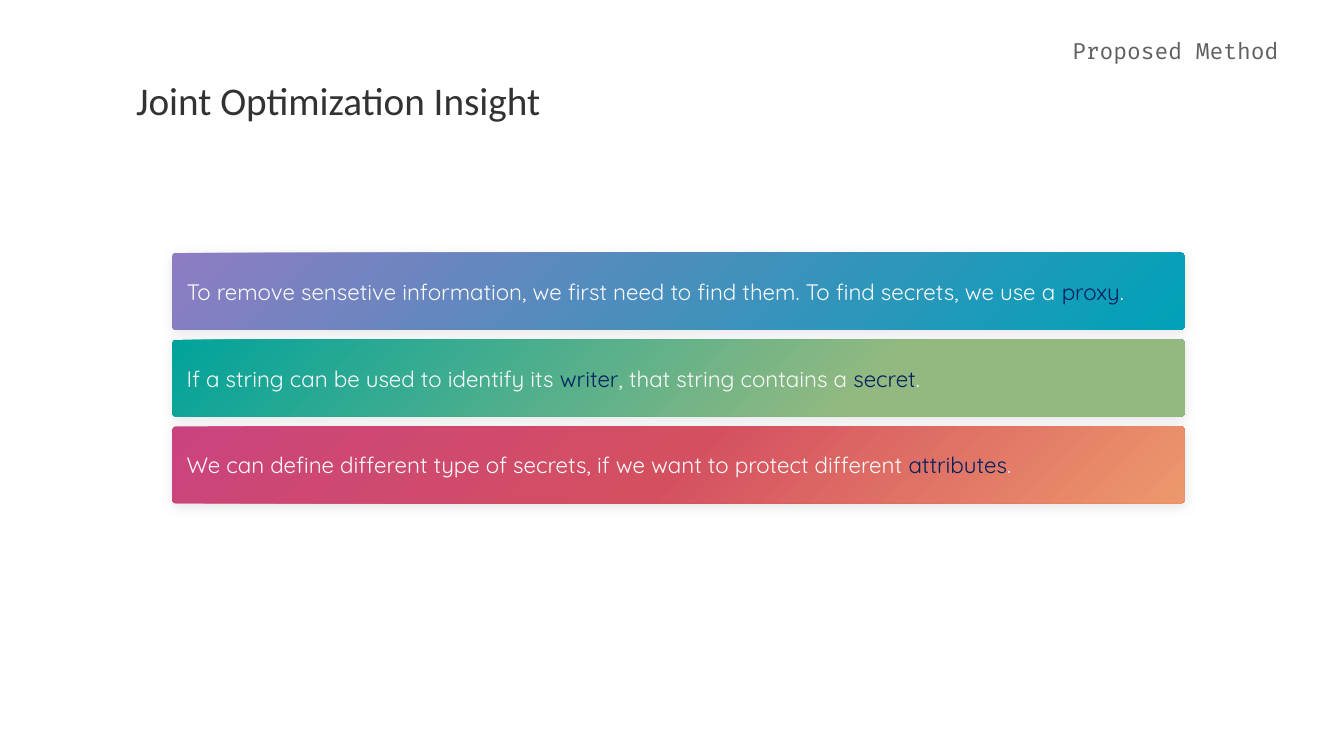
"""Build the Joint Optimization Insight slide with three gradient statement bars."""
from dataclasses import dataclass

import pptx
import pptx.dml.color
import pptx.enum.shapes
import pptx.enum.text
import pptx.oxml
import pptx.oxml.ns
import pptx.util
from pptx.util import Pt

MSO_ANCHOR = pptx.enum.text.MSO_ANCHOR
PP_ALIGN = pptx.enum.text.PP_ALIGN
qn = pptx.oxml.ns.qn
NS = pptx.oxml.ns.nsdecls("a")


@dataclass(frozen=True)
class Theme:
    title_font: str = "Calibri"
    section_font: str = "Fira Code"
    body_font: str = "Quicksand"
    title_size: int = 28
    body_size: int = 16
    title: str = "323232"
    section: str = "606060"
    body: str = "FAFAFA"
    key: str = "002060"
    shadow: str = "000000"
    violet: tuple = ((0, "8E7CC3"), (100, "00A2B7"))
    green: tuple = ((0, "00A39B"), (69, "94B980"), (100, "94B980"))
    red: tuple = ((0, "CA437E"), (50, "D45060"), (100, "ED986C"))


THEME = Theme()
BAR_LEFT, BAR_TOP, BAR_WIDTH, BAR_HEIGHT, BAR_PITCH = 123, 180.6, 723, 54.9, 62

BARS = [
    (THEME.violet, ["To remove sensetive information, we first need to find them. "
                    "To find secrets, we use a ", "proxy", "."]),
    (THEME.green, ["If a string can be used to identify its ", "writer",
                   ", that string contains a ", "secret", "."]),
    (THEME.red, ["We can define different type of secrets, if we want to protect different ",
                 "attributes", "."]),
]


def add_run(p, text, *, font, size, color):
    r = p.add_run()
    r.text = text
    r.font.name = font
    r.font.size = Pt(size)
    r.font.bold = False
    r.font.color.rgb = pptx.dml.color.RGBColor.from_string(color)


def set_frame(tf, *, margin=0, anchor=MSO_ANCHOR.TOP):
    tf.word_wrap = True
    tf.auto_size = pptx.enum.text.MSO_AUTO_SIZE.NONE
    tf.vertical_anchor = anchor
    tf.margin_left = tf.margin_right = tf.margin_top = tf.margin_bottom = Pt(margin)


def fill_placeholder(sp, text, box, *, align=PP_ALIGN.LEFT, spacing=1.0, **fmt):
    sp.left, sp.top, sp.width, sp.height = (Pt(v) for v in box)
    set_frame(sp.text_frame)
    p = sp.text_frame.paragraphs[0]
    p.alignment = align
    p.line_spacing = spacing
    p.space_before = Pt(0)
    add_run(p, text, **fmt)


def set_gradient(sp, stops):
    sp.fill.gradient()
    sp.fill.gradient_angle = 315
    gs_list = next(sp._element.spPr.iter(qn("a:gsLst")))
    for gs in list(gs_list):
        gs_list.remove(gs)
    for pos, color in stops:
        gs_list.append(pptx.oxml.parse_xml(
            f'<a:gs {NS} pos="{pos * 1000}"><a:srgbClr val="{color}"/></a:gs>'))


def set_shadow(sp):
    sp.shadow.inherit = False
    sp._element.spPr.find(qn("a:effectLst")).append(pptx.oxml.parse_xml(
        f'<a:outerShdw {NS} blurRad="{Pt(9)}" dist="{Pt(1.5)}" dir="5400000" '
        f'algn="bl" rotWithShape="0"><a:srgbClr val="{THEME.shadow}">'
        '<a:alpha val="10000"/></a:srgbClr></a:outerShdw>'))


def add_bar(s, top, stops, parts):
    sp = s.shapes.add_shape(pptx.enum.shapes.MSO_SHAPE.ROUNDED_RECTANGLE,
                            Pt(BAR_LEFT), Pt(top), Pt(BAR_WIDTH), Pt(BAR_HEIGHT))
    sp.adjustments[0] = 0.045
    set_gradient(sp, stops)
    sp.line.fill.background()
    set_shadow(sp)
    set_frame(sp.text_frame, margin=9.6, anchor=MSO_ANCHOR.MIDDLE)
    p = sp.text_frame.paragraphs[0]
    p.alignment = PP_ALIGN.LEFT
    for i, text in enumerate(parts):
        add_run(p, text, font=THEME.body_font, size=THEME.body_size,
                color=THEME.key if i % 2 else THEME.body)


def main():
    prs = pptx.Presentation()
    prs.slide_width, prs.slide_height = Pt(960), Pt(540)
    s = prs.slides.add_slide(prs.slide_layouts[0])
    fill_placeholder(s.shapes.title, "Joint Optimization Insight", (97.2, 54.7, 762, 36),
                     font=THEME.title_font, size=THEME.title_size, color=THEME.title)
    fill_placeholder(s.placeholders[1], "Proposed Method", (97.2, 23.8, 816, 18.7),
                     align=PP_ALIGN.RIGHT, spacing=1.15, font=THEME.section_font,
                     size=THEME.body_size, color=THEME.section)
    for i, (stops, parts) in enumerate(BARS):
        add_bar(s, BAR_TOP + i * BAR_PITCH, stops, parts)
    prs.save("out.pptx")


if __name__ == "__main__":
    main()
